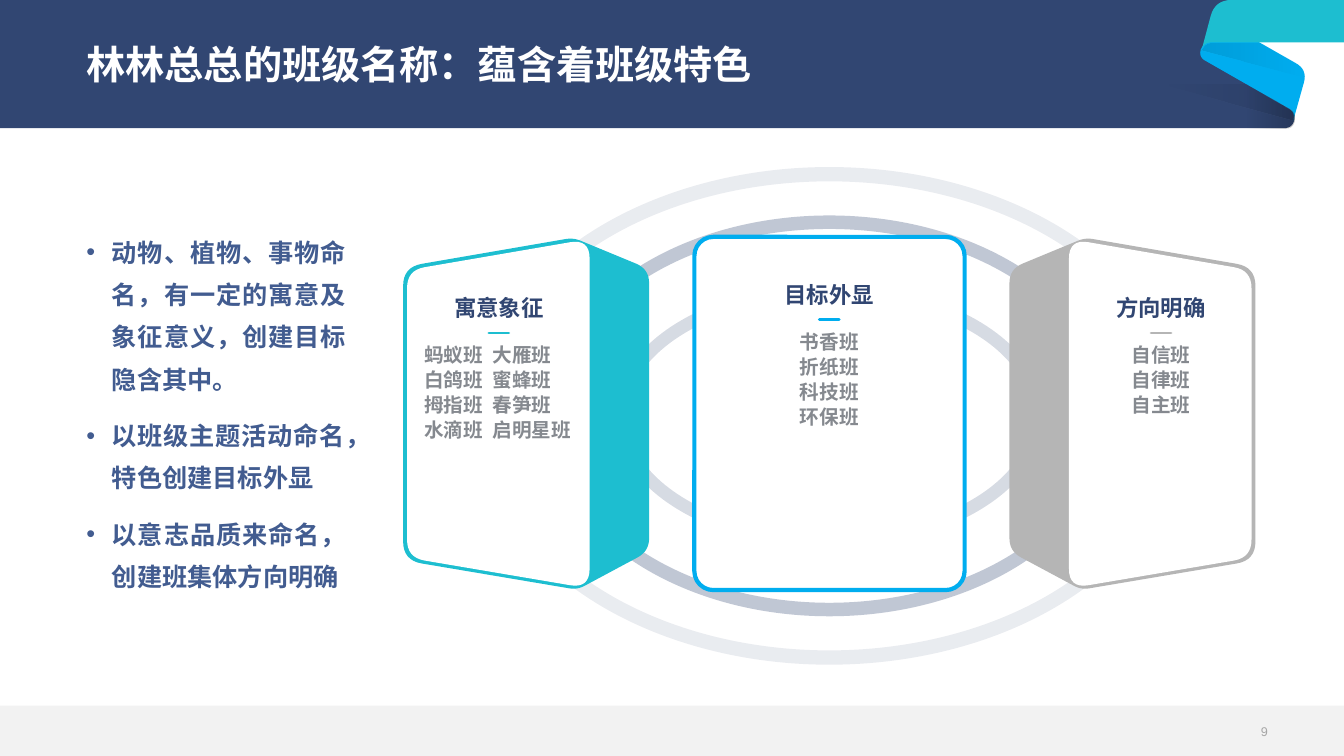
from lxml.etree import SubElement
from pptx import Presentation
from pptx.dml.color import RGBColor
from pptx.enum.shapes import MSO_CONNECTOR, MSO_SHAPE
from pptx.enum.text import MSO_ANCHOR, PP_ALIGN
from pptx.oxml.ns import qn
from pptx.util import Cm, Pt

NAVY, TEAL, BLUE, SILVER = "314672", "1DBED0", "00ADEF", "B5B5B5"
WHITE, SLATE, GREY, BLACK = "FFFFFF", "425C90", "85898F", "000000"
AXIS = 20.9

RINGS = [
    (17.83, 12.54, 0.36, 10),
    (14.36, 10.1, 0.34, 30),
    (10.85, 6.63, 0.33, 10),
    (10.85, 6.63, 0.33, 10),
]
CARD_BODY = [
    (10.16, 6.73, 0.48), (14.45, 5.99, 0.2), (16.36, 6.78, 0.36),
    (16.36, 13.89, 0.33), (14.55, 14.86, 0.2), (10.16, 14.12, 0.48),
]
CARD_FACE = [
    (10.26, 6.81, 0.45), (14.86, 6.02, 0.5),
    (14.86, 14.83, 0.5), (10.26, 14.05, 0.45),
]
BANNER = [
    (0, 0, 0), (31.57, 0, 0), (31.57, 1.83, 0),
    (32.65, 2.83, 0.2), (32.58, 3.23, 0.22), (0, 3.23, 0),
]
RIBBON_BACK = [
    (31.6, 0.99, 0), (30.33, 1.06, 0.22), (30.2, 1.43, 0.2),
    (32.65, 2.83, 0.2), (32.59, 3.05, 0), (32.95, 1.76, 0.33),
]
RIBBON_FRONT = [
    (30.28, 1.27, 0), (30.33, 1.07, 0.2), (33.87, 1.07, 0),
    (33.87, 0, 0), (30.62, 0, 0.42),
]
SHADES = [
    ([(31.42, 2.13, 0), (32.65, 2.83, 0.2), (32.58, 3.23, 0.22), (31.42, 3.23, 0)], 0, 20),
    ([(29.26, 2.13, 0), (31.42, 2.13, 0), (32.65, 2.83, 0.2), (32.59, 3.05, 0)], 0, 10),
    ([(30.28, 1.27, 0), (30.34, 1.09, 0.2), (31.75, 1.09, 0),
      (32.9, 1.74, 0.25), (32.87, 1.96, 0)], 10, 0),
]
POINTS = [
    "动物、植物、事物命名，有一定的寓意及象征意义，创建目标隐含其中。",
    "以班级主题活动命名，特色创建目标外显",
    "以意志品质来命名，创建班集体方向明确",
]


def rgb(code):
    return RGBColor.from_string(code)


def set_alpha(shape, *percents):
    for colour, percent in zip(shape._element.spPr.iter(qn("a:srgbClr")), percents):
        SubElement(colour, qn("a:alpha"), val=str(percent * 1000))


def paint(shape, colour):
    shape.shadow.inherit = False
    shape.fill.solid()
    shape.fill.fore_color.rgb = rgb(colour)
    shape.line.fill.background()


def paint_shade(shape, start, end):
    shape.shadow.inherit = False
    shape.line.fill.background()
    shape.fill.gradient()
    shape.fill.gradient_angle = 0
    for stop in shape.fill.gradient_stops:
        stop.color.rgb = rgb(BLACK)
    set_alpha(shape, start, end)


def toward(corner, other, cut):
    dx, dy = other[0] - corner[0], other[1] - corner[1]
    share = cut / (dx * dx + dy * dy) ** 0.5
    return corner[0] + dx * share, corner[1] + dy * share


def rounded_outline(corners, steps=8):
    outline = []
    for i, corner in enumerate(corners):
        x, y, cut = corner
        if not cut:
            outline.append((x, y))
            continue
        ax, ay = toward(corner, corners[i - 1], cut)
        bx, by = toward(corner, corners[(i + 1) % len(corners)], cut)
        for t in (step / steps for step in range(steps + 1)):
            a, m, b = (1 - t) ** 2, 2 * t * (1 - t), t * t
            outline.append((a * ax + m * x + b * bx, a * ay + m * y + b * by))
    return outline


def add_outline(slide, corners):
    points = [(Cm(x), Cm(y)) for x, y in rounded_outline(corners)]
    builder = slide.shapes.build_freeform(*points[0])
    builder.add_line_segments(points[1:], close=True)
    return builder.convert_to_shape()


def add_preset(slide, kind, left, top, width, height, colour):
    shape = slide.shapes.add_shape(kind, Cm(left), Cm(top), Cm(width), Cm(height))
    paint(shape, colour)
    return shape


def write(frame, lines, size, colour, align, bold=True, spacing=None, inset=(0, 0)):
    frame.word_wrap = True
    frame.margin_left = frame.margin_right = Cm(inset[0])
    frame.margin_top = frame.margin_bottom = Cm(inset[1])
    frame.text = "\n".join(lines)
    for paragraph in frame.paragraphs:
        paragraph.alignment = align
        paragraph.line_spacing = spacing
        for run in paragraph.runs:
            run.font.name = "Arial"
            run.font.size = Pt(size)
            run.font.bold = bold
            run.font.color.rgb = rgb(colour)


def add_text(slide, left, top, width, height, lines, size, colour, align, **style):
    frame = slide.shapes.add_textbox(Cm(left), Cm(top), Cm(width), Cm(height)).text_frame
    write(frame, lines, size, colour, align, **style)
    return frame


def add_bullet(paragraph):
    pPr = paragraph._p.get_or_add_pPr()
    pPr.set("marL", str(Cm(0.64)))
    pPr.set("indent", str(-Cm(0.64)))
    SubElement(SubElement(pPr, qn("a:buClr")), qn("a:srgbClr"), val=SLATE)
    SubElement(pPr, qn("a:buFont"), typeface="Arial")
    SubElement(pPr, qn("a:buChar"), char="•")


def add_tab_stop(paragraph, position):
    tabs = SubElement(paragraph._p.get_or_add_pPr(), qn("a:tabLst"))
    SubElement(tabs, qn("a:tab"), pos=str(Cm(position)), algn="l")


def add_dash(slide, centre, y, colour):
    dash = slide.shapes.add_connector(
        MSO_CONNECTOR.STRAIGHT, Cm(centre - 0.25), Cm(y), Cm(centre + 0.25), Cm(y))
    dash.line.color.rgb = rgb(colour)
    dash.line.width = Pt(2)
    dash.line._ln.set("cap", "rnd")
    SubElement(dash._element.spPr, qn("a:effectLst"))


def add_card_text(slide, centre, top, width, heading, classes, colour, align=PP_ALIGN.CENTER):
    left = centre - width / 2
    names = add_text(slide, left, top + 1.17, width, 0.64 * len(classes), classes,
                     14, GREY, align, spacing=Pt(18))
    add_dash(slide, centre, top + 0.97, colour)
    add_text(slide, left, top, width, 0.69, [heading], 16, NAVY, PP_ALIGN.CENTER)
    return names


def add_side_card(slide, colour, mirrored=False):
    for corners, fill in ((CARD_BODY, colour), (CARD_FACE, WHITE)):
        if mirrored:
            corners = [(2 * AXIS - x, y, cut) for x, y, cut in corners]
        paint(add_outline(slide, corners), fill)


def add_middle_card(slide):
    card = add_preset(slide, MSO_SHAPE.ROUNDED_RECTANGLE, 17.5, 5.97, 6.81, 8.9, WHITE)
    card.adjustments[0] = 0.07
    card.line.color.rgb = rgb(BLUE)
    card.line.width = Pt(3)


def add_frame(slide):
    for corners, colour in ((BANNER, NAVY), (RIBBON_BACK, BLUE), (RIBBON_FRONT, TEAL)):
        paint(add_outline(slide, corners), colour)
    for corners, start, end in SHADES:
        paint_shade(add_outline(slide, corners), start, end)
    add_preset(slide, MSO_SHAPE.RECTANGLE, 0, 17.78, 33.87, 1.27, "F2F2F2")
    number = add_text(slide, 30.35, 18.11, 1.6, 0.66, ["9"], 9, "A6A6A6",
                      PP_ALIGN.RIGHT, bold=False)
    number.vertical_anchor = MSO_ANCHOR.MIDDLE


def add_rings(slide):
    for width, height, band, alpha in RINGS:
        ring = add_preset(slide, MSO_SHAPE.DONUT, AXIS - width / 2, 10.48 - height / 2,
                          width, height, NAVY)
        ring.adjustments[0] = band / height
        set_alpha(ring, alpha)


def add_points(slide):
    frame = add_text(slide, 1.93, 5.54, 7.04, 9.73, POINTS, 18, SLATE, PP_ALIGN.JUSTIFY,
                     spacing=1.4, inset=(0.25, 0.13))
    for i, paragraph in enumerate(frame.paragraphs):
        add_bullet(paragraph)
        paragraph.space_before = Pt(10 if i else 0)


def set_title(slide, text):
    title = slide.shapes.title
    title.left, title.top, title.width, title.height = Cm(1.93), Cm(0.15), Cm(30), Cm(3.05)
    write(title.text_frame, [text], 28, WHITE, PP_ALIGN.LEFT, spacing=0.9, inset=(0.25, 0.13))
    title.text_frame.vertical_anchor = MSO_ANCHOR.MIDDLE
    slide.shapes._spTree.append(title._element)


def main():
    deck = Presentation()
    deck.slide_width, deck.slide_height = Cm(33.87), Cm(19.05)
    slide = deck.slides.add_slide(deck.slide_layouts[5])
    add_frame(slide)
    add_rings(slide)
    add_middle_card(slide)
    add_card_text(slide, AXIS, 7.09, 5.4, "目标外显", ["书香班", "折纸班", "科技班", "环保班"], BLUE)
    add_side_card(slide, TEAL)
    symbols = add_card_text(
        slide, 12.57, 7.42, 3.76, "寓意象征",
        ["蚂蚁班\t大雁班", "白鸽班\t蜜蜂班", "拇指班\t春笋班", "水滴班\t启明星班"],
        TEAL, PP_ALIGN.LEFT)
    for paragraph in symbols.paragraphs:
        add_tab_stop(paragraph, 1.72)
    add_side_card(slide, SILVER, mirrored=True)
    add_card_text(slide, 29.26, 7.42, 3.76, "方向明确", ["自信班", "自律班", "自主班"], SILVER)
    set_title(slide, "林林总总的班级名称：蕴含着班级特色")
    add_points(slide)
    deck.save("out.pptx")


if __name__ == "__main__":
    main()
